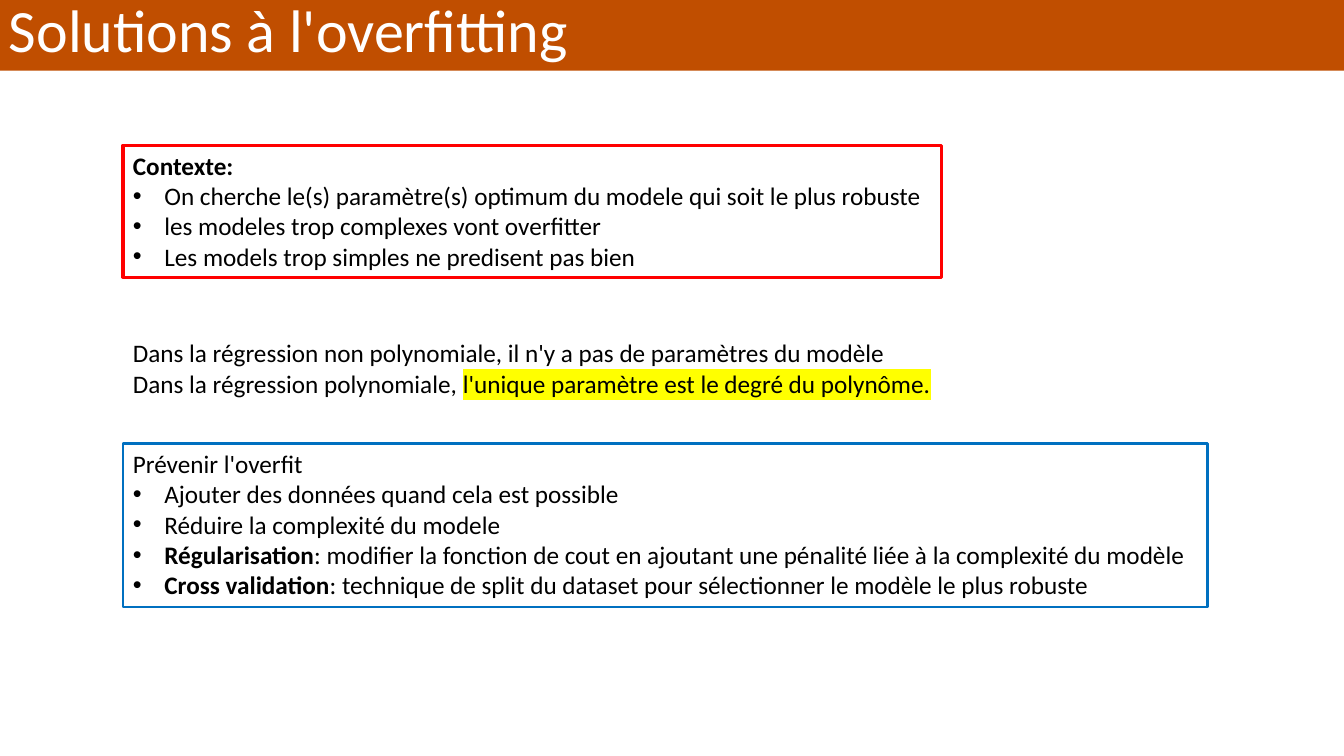
"""Build a slide on remedies for overfitting."""
from lxml import etree
from pptx import Presentation
from pptx.dml.color import RGBColor
from pptx.enum.shapes import MSO_SHAPE
from pptx.enum.text import MSO_ANCHOR, MSO_AUTO_SIZE, PP_ALIGN
from pptx.oxml.ns import qn
from pptx.util import Pt

RECTANGLE = MSO_SHAPE.RECTANGLE
LEFT = PP_ALIGN.LEFT
TOP, MIDDLE = MSO_ANCHOR.TOP, MSO_ANCHOR.MIDDLE
GROW = MSO_AUTO_SIZE.SHAPE_TO_FIT_TEXT

COLORS = {"banner": "C04E00", "white": "FFFFFF", "black": "000000",
          "red": "FF0000", "blue": "0070C0", "yellow": "FFFF00"}
FONT = "Calibri"
BODY_SIZE, TITLE_SIZE = 18, 42.9
BODY_LEFT, BULLET_INDENT = 87.84, 22.5

TITLE = "Solutions à l'overfitting"
BLOCKS = [
    {"top": 316.8, "width": 774.7, "height": 116.6, "border": ("blue", 1.5), "lines": [
        (False, [("Prévenir l'overfit", "")]),
        (True, [("Ajouter des données quand cela est possible", "")]),
        (True, [("Réduire la complexité du modele", "")]),
        (True, [("Régularisation", "bold"),
                (": modifier la fonction de cout en ajoutant une pénalité liée "
                 "à la complexité du modèle", "")]),
        (True, [("Cross validation", "bold"),
                (": technique de split du dataset pour sélectionner le modèle "
                 "le plus robuste", "")]),
    ]},
    {"top": 103.7, "width": 584.6, "height": 94.3, "border": ("red", 2.25), "lines": [
        (False, [("Contexte:", "bold")]),
        (True, [("On cherche le(s) paramètre(s) optimum du modele qui soit "
                 "le plus robuste", "")]),
        (True, [("les modeles trop complexes vont overfitter", "")]),
        (True, [("Les models trop simples ne predisent pas bien", "")]),
    ]},
    {"top": 237.6, "width": 591.1, "height": 51.1, "border": None, "lines": [
        (False, [("Dans la régression non polynomiale, il n'y a pas de paramètres "
                  "du modèle", "")]),
        (False, [("Dans la régression polynomiale, ", ""),
                 ("l'unique paramètre est le degré du polynôme.", "highlight")]),
    ]},
]


def rgb(name):
    return RGBColor.from_string(COLORS[name])


def add_span(para, text, size, color, style=""):
    span = para.add_run()
    span.text = text
    span.font.size = Pt(size)
    span.font.bold = style == "bold"
    span.font.color.rgb = rgb(color)
    span.font.name = FONT
    if style == "highlight":
        highlight = etree.Element(qn("a:highlight"))
        etree.SubElement(highlight, qn("a:srgbClr"), val=COLORS["yellow"])
        span.font._element.find(qn("a:latin")).addprevious(highlight)


def add_bullet(para):
    properties = para._p.get_or_add_pPr()
    properties.set("marL", str(Pt(BULLET_INDENT)))
    properties.set("indent", str(-Pt(BULLET_INDENT)))
    etree.SubElement(properties, qn("a:buFont"), typeface="Arial")
    etree.SubElement(properties, qn("a:buChar"), char="•")


def add_rectangle(page, left, top, width, height):
    box = page.shapes.add_shape(RECTANGLE, Pt(left), Pt(top), Pt(width), Pt(height))
    box.shadow.inherit = False
    return box


def add_block(page, block):
    place = BODY_LEFT, block["top"], block["width"], block["height"]
    if block["border"]:
        color, weight = block["border"]
        box = add_rectangle(page, *place)
        box.fill.background()
        box.line.color.rgb = rgb(color)
        box.line.width = Pt(weight)
    else:
        box = page.shapes.add_textbox(*map(Pt, place))
    frame = box.text_frame
    frame.word_wrap = False
    frame.auto_size = GROW
    frame.vertical_anchor = TOP
    for index, (bulleted, spans) in enumerate(block["lines"]):
        para = frame.add_paragraph() if index else frame.paragraphs[0]
        para.alignment = LEFT
        if bulleted:
            add_bullet(para)
        for text, style in spans:
            add_span(para, text, BODY_SIZE, "black", style)


def add_banner(page):
    banner = add_rectangle(page, -0.7, -0.7, 960.7, 51.1)
    banner.fill.solid()
    banner.fill.fore_color.rgb = rgb("banner")
    banner.line.fill.background()
    frame = banner.text_frame
    frame.word_wrap = True
    frame.vertical_anchor = MIDDLE
    para = frame.paragraphs[0]
    para.alignment = LEFT
    para.line_spacing = 0.8
    add_span(para, TITLE, TITLE_SIZE, "white")


def main():
    deck = Presentation()
    deck.slide_width, deck.slide_height = Pt(960), Pt(540)
    page = deck.slides.add_slide(deck.slide_layouts[6])
    add_banner(page)
    for block in BLOCKS:
        add_block(page, block)
    deck.save("out.pptx")


if __name__ == "__main__":
    main()
